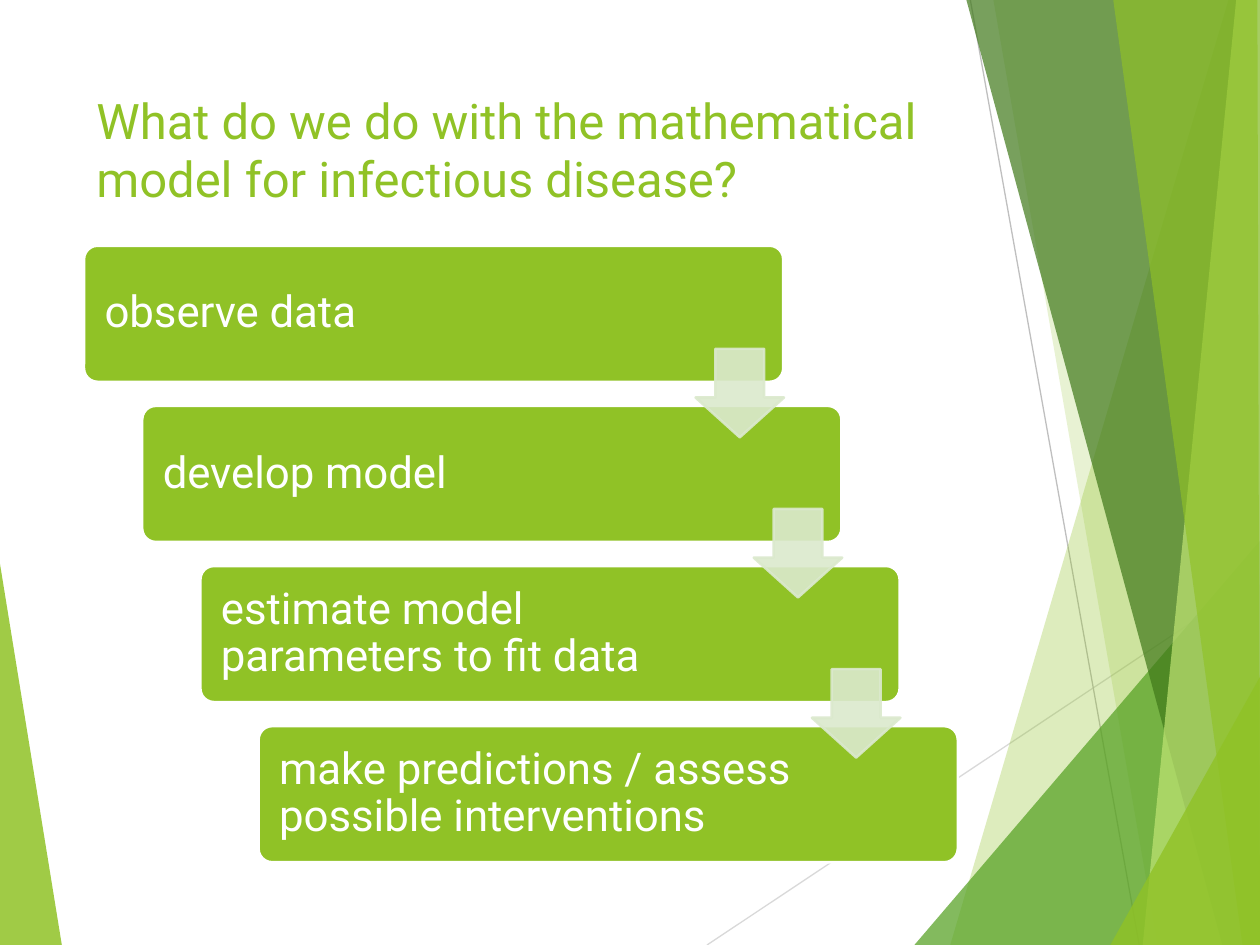
"""Build a slide with four cascading modelling steps beside a green faceted border."""
from lxml import etree
from pptx import Presentation
from pptx.dml.color import RGBColor
from pptx.enum.shapes import MSO_CONNECTOR, MSO_SHAPE
from pptx.enum.text import MSO_ANCHOR, PP_ALIGN
from pptx.oxml.ns import qn
from pptx.util import Pt

STRAIGHT = MSO_CONNECTOR.STRAIGHT
ROUNDED = MSO_SHAPE.ROUNDED_RECTANGLE
DOWN_ARROW = MSO_SHAPE.DOWN_ARROW
TOP, MIDDLE = MSO_ANCHOR.TOP, MSO_ANCHOR.MIDDLE
LEFT = PP_ALIGN.LEFT

COLORS = {
    "green": "90C226",
    "leaf": "54A021",
    "forest": "3F7819",
    "lime": "C0E474",
    "pale": "DBE9CD",
    "white": "FFFFFF",
    "light_gray": "D9D9D9",
    "gray": "BFBFBF",
}


def paint(fill, color, opacity=100):
    fill.solid()
    fill.fore_color.rgb = RGBColor.from_string(COLORS[color])
    if opacity < 100:
        element = fill._xPr.find(qn("a:solidFill"))[0]
        etree.SubElement(element, qn("a:alpha"), val=str(opacity * 1000))


def write(frame, text, size, color, anchor):
    frame.text = text
    frame.word_wrap = True
    frame.vertical_anchor = anchor
    paragraph = frame.paragraphs[0]
    paragraph.alignment = LEFT
    font = paragraph.runs[0].font
    font.name = "Roboto"
    font.size = Pt(size)
    font.color.rgb = RGBColor.from_string(COLORS[color])
    return paragraph


deck = Presentation()
deck.slide_width, deck.slide_height = Pt(720), Pt(540)
page = deck.slides.add_slide(deck.slide_layouts[6])

rays = [
    ((404, 540), (721, 329), "light_gray"),
    ((554.5, 0), (651, 540), "gray"),
]
for start, end, color in rays:
    ray = page.shapes.add_connector(STRAIGHT, *map(Pt, start + end))
    paint(ray.line.fill, color)
    ray.line.width = Pt(0.75)
    etree.SubElement(ray._element.spPr, qn("a:effectLst"))

facets = [
    ("green", 85, [(-1, 316), (35.5, 541), (-1, 540)]),
    ("green", 30, [(702, 0), (543, 540), (721, 540), (721, 0)]),
    ("green", 20, [(567.5, -1), (661.5, 540), (721, 540), (721, -1)]),
    ("leaf", 72, [(522.5, 540), (720, 309), (721, 540)]),
    ("forest", 70, [(552, -1), (698.5, 540), (721, 540), (721, -1)]),
    ("lime", 70, [(706.5, -1), (653, 540), (721, 540), (720, -1)]),
    ("green", 65, [(636, -1), (710, 540), (720, 540), (718.5, -1)]),
    ("green", 80, [(634.5, 540), (721, 385), (721, 540)]),
]
for color, opacity, corners in facets:
    points = [(Pt(x), Pt(y)) for x, y in corners]
    builder = page.shapes.build_freeform(*points[0])
    builder.add_line_segments(points[1:])
    facet = builder.convert_to_shape()
    facet.shadow.inherit = False
    paint(facet.fill, color, opacity)
    facet.line.fill.background()

title = page.shapes.add_textbox(Pt(48), Pt(48), Pt(500), Pt(61))
write(title.text_frame, "What do we do with the mathematical model for infectious disease?",
      28, "green", TOP)

steps = [
    "observe data",
    "develop model",
    "estimate model parameters to fit data",
    "make predictions / assess possible interventions",
]
step_right, step_down = 33.25, 91.5
for index, text in enumerate(steps):
    box = page.shapes.add_shape(ROUNDED, Pt(48 + index * step_right),
                                Pt(140.4 + index * step_down), Pt(399.6), Pt(77.8))
    box.adjustments[0] = 0.1
    box.shadow.inherit = False
    paint(box.fill, "green")
    paint(box.line.fill, "white")
    box.line.width = Pt(1.5)
    frame = box.text_frame
    paragraph = write(frame, text, 25, "white", MIDDLE)
    paragraph.line_spacing = 0.9
    frame.margin_left, frame.margin_right = Pt(9.5), Pt(93)

for index in range(len(steps) - 1):
    arrow = page.shapes.add_shape(DOWN_ARROW, Pt(397.5 + index * step_right),
                                  Pt(199.4 + index * step_down), Pt(50.5), Pt(50.5))
    arrow.adjustments[0] = 0.55
    arrow.adjustments[1] = 0.45
    arrow.shadow.inherit = False
    paint(arrow.fill, "pale", 90)
    paint(arrow.line.fill, "pale", 90)
    arrow.line.width = Pt(1.5)

deck.save("out.pptx")
